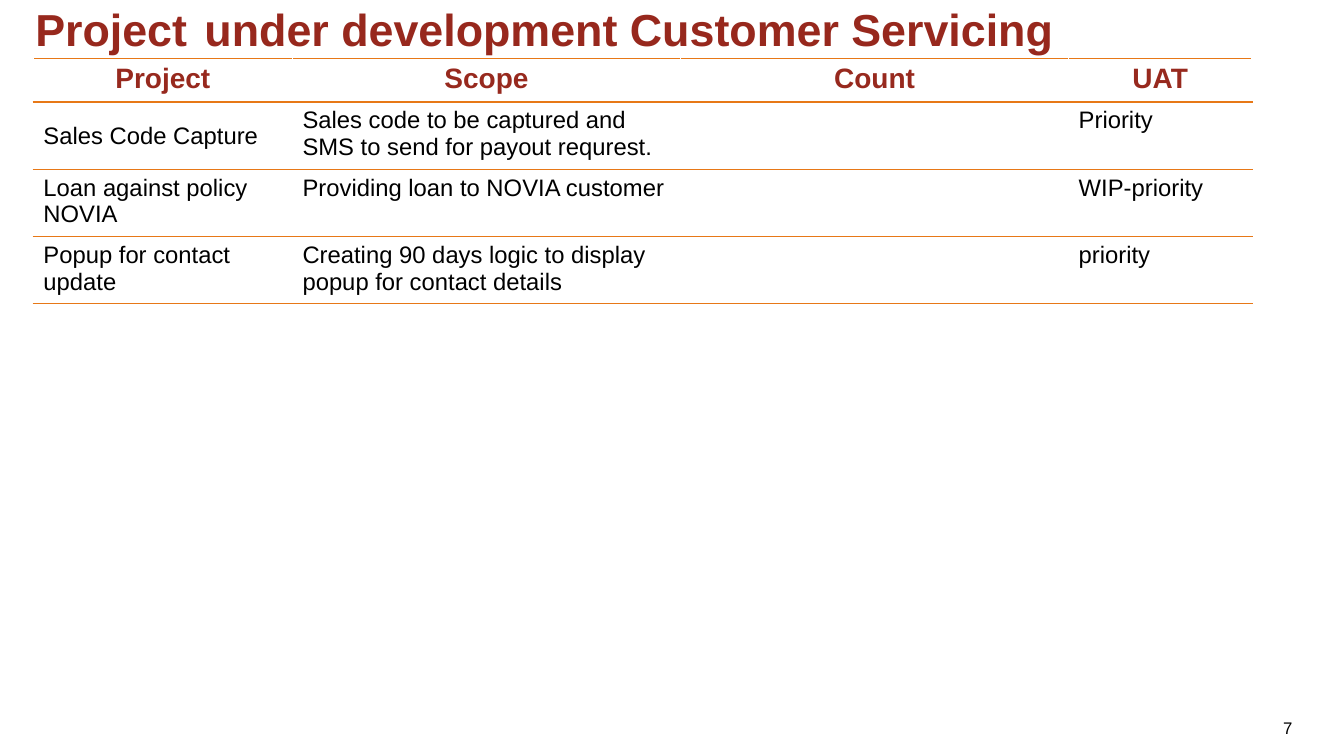
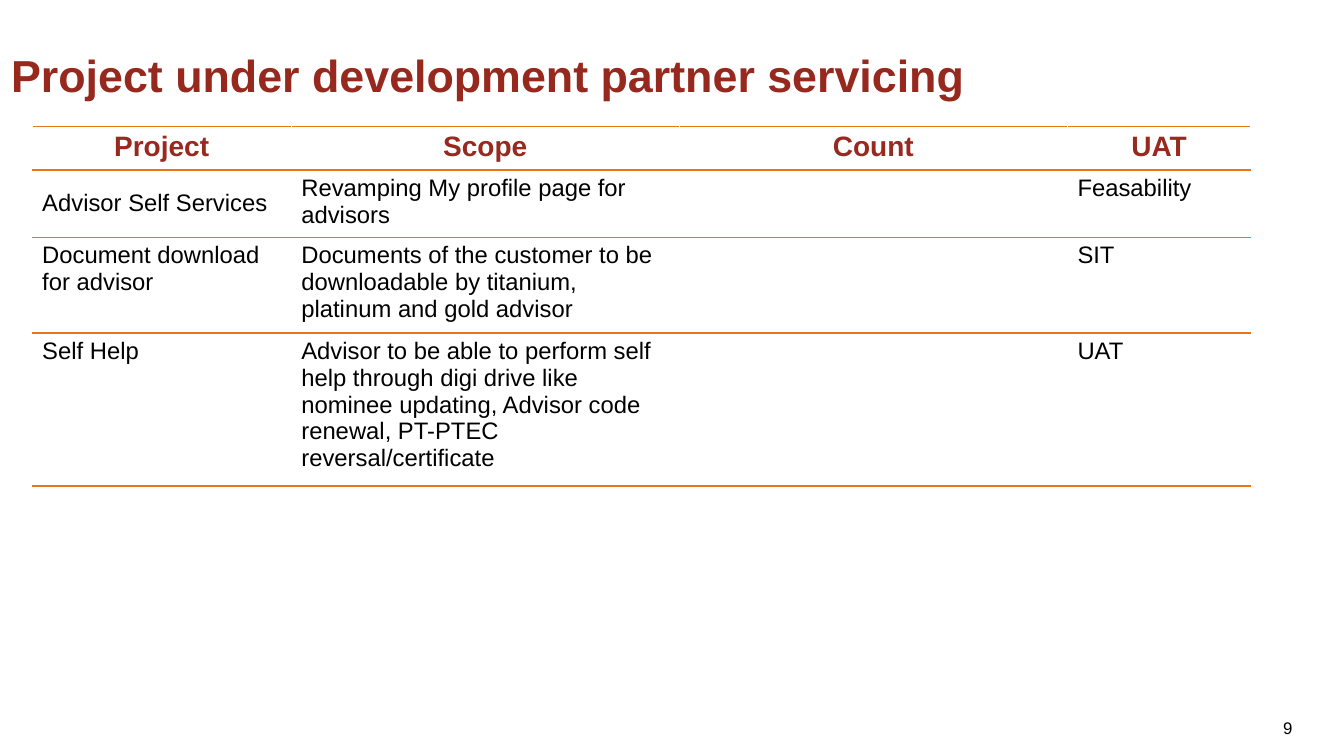
from lxml import etree
from pptx import Presentation
from pptx.dml.color import RGBColor
from pptx.enum.text import MSO_ANCHOR, PP_ALIGN
from pptx.oxml.ns import qn
from pptx.util import Cm, Pt

TOP, MIDDLE = MSO_ANCHOR.TOP, MSO_ANCHOR.MIDDLE
LEFT, CENTER, RIGHT = PP_ALIGN.LEFT, PP_ALIGN.CENTER, PP_ALIGN.RIGHT

FONT = "Arial"
COLORS = {"title": "97281D", "header": "97291E", "text": "000000",
          "white": "FFFFFF", "orange": "E77817"}
HEADERS = ["Project", "Scope", "Count", "UAT"]
COLUMN_WIDTHS = [6.53, 9.78, 9.78, 4.62]
ROW_HEIGHT = 1.04
BORDERS = {"a:lnL": "white", "a:lnR": "white",
           "a:lnT": "orange", "a:lnB": "orange"}


def set_font(font, size, color, bold=False):
    """Apply the shared typeface with a size, colour and weight."""
    font.name, font.size, font.bold = FONT, Pt(size), bold
    font.color.rgb = RGBColor.from_string(COLORS[color])


def add_textbox(s, box, anchor=TOP):
    """Add a wrapping text box and return its text frame."""
    tf = s.shapes.add_textbox(*map(Cm, box)).text_frame
    tf.word_wrap = True
    tf.vertical_anchor = anchor
    return tf


def add_title(s, box, parts):
    """Add the title; each part is a (text, size) pair."""
    p = add_textbox(s, box).paragraphs[0]
    for text, size in parts:
        r = p.add_run()
        r.text = text
        set_font(r.font, size, "title", bold=True)


def add_page_number(s, box, number):
    """Add the right-aligned page number."""
    p = add_textbox(s, box, MIDDLE).paragraphs[0]
    p.text = str(number)
    p.alignment = RIGHT
    set_font(p.font, 12, "text")


def set_borders(cell):
    """Draw white sides and orange horizontal rules on a cell."""
    tcPr = cell._tc.get_or_add_tcPr()
    for i, (tag, color) in enumerate(BORDERS.items()):
        ln = etree.Element(qn(tag), w=str(Pt(1)))
        fill = etree.SubElement(ln, qn("a:solidFill"))
        etree.SubElement(fill, qn("a:srgbClr"), val=COLORS[color])
        tcPr.insert(i, ln)


def fill_cell(cell, text, is_header):
    """Style a cell and write its text; run sizes let rows fit the text."""
    cell.fill.solid()
    cell.fill.fore_color.rgb = RGBColor.from_string(COLORS["white"])
    set_borders(cell)
    p = cell.text_frame.paragraphs[0]
    p.alignment = CENTER if is_header else LEFT
    if text:
        r = p.add_run()
        r.text = text
        if is_header:
            set_font(r.font, 20, "header", bold=True)
        else:
            set_font(r.font, 17, "text")


def add_project_table(s, left, top, projects):
    """Add the table; each project is (name, scope, status)."""
    rows = [HEADERS] + [[name, scope, "", status]
                        for name, scope, status in projects]
    table = s.shapes.add_table(
        len(rows), len(HEADERS), Cm(left), Cm(top),
        Cm(sum(COLUMN_WIDTHS)), Cm(ROW_HEIGHT * len(rows))).table
    table.first_row = table.horz_banding = False
    for column, width in zip(table.columns, COLUMN_WIDTHS):
        column.width = Cm(width)
    for i, values in enumerate(rows):
        for j, value in enumerate(values):
            fill_cell(table.cell(i, j), value, is_header=i == 0)
    table.cell(1, 0).vertical_anchor = MIDDLE


def add_project_slide(prs, number, title_at, title, table_at, projects):
    """Build one slide; the title lies above the table so it stays whole."""
    s = prs.slides.add_slide(prs.slide_layouts[6])
    add_page_number(s, (31.12, 17.83, 1.7, 1.02), number)
    add_project_table(s, *table_at, projects)
    add_title(s, (*title_at, 27.71, 1.9), title)


prs = Presentation()
prs.slide_width, prs.slide_height = Cm(33.87), Cm(19.05)

add_project_slide(
    prs, 7, (0.64, -0.5),
    [("Project", 32), (" ", 44), ("under development Customer Servicing", 32)],
    (0.84, 1.47),
    [("Sales Code Capture",
      "Sales code to be captured and SMS to send for payout requrest.",
      "Priority"),
     ("Loan against policy NOVIA", "Providing loan to NOVIA customer",
      "WIP-priority"),
     ("Popup for contact update",
      "Creating 90 days logic to display popup for contact details",
      "priority")])

add_project_slide(
    prs, 9, (0.03, 1.07),
    [("Project under development partner servicing", 32)],
    (0.81, 3.18),
    [("Advisor Self Services", "Revamping My profile page for advisors",
      "Feasability"),
     ("Document download for advisor",
      "Documents of the customer to be downloadable by titanium, "
      "platinum and gold advisor",
      "SIT"),
     ("Self Help",
      "Advisor to be able to perform self help through digi drive like "
      "nominee updating, Advisor code renewal, PT-PTEC reversal/certificate",
      "UAT")])

prs.save("out.pptx")
